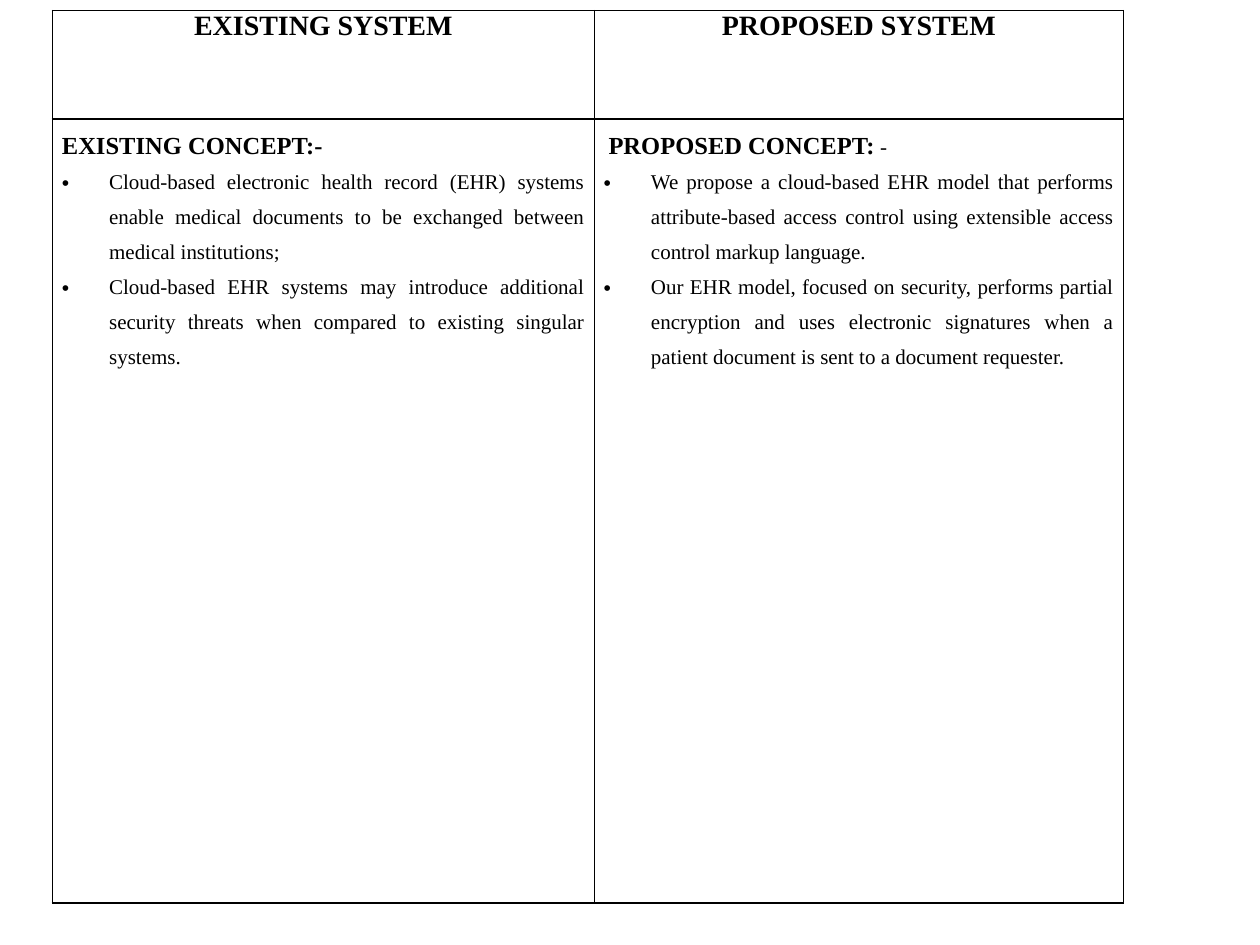
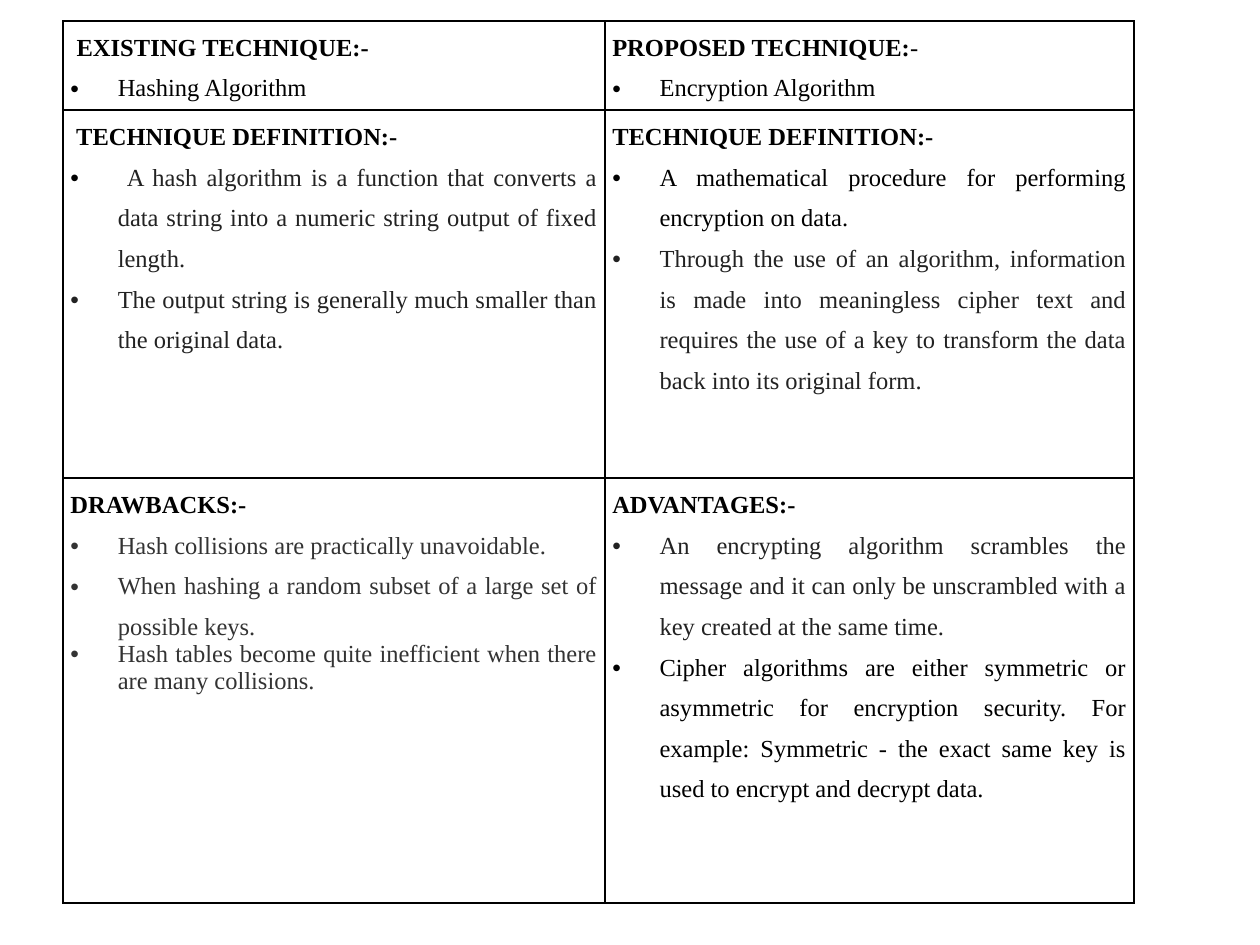
from lxml import etree
from pptx import Presentation
from pptx import util as u
from pptx.dml.color import RGBColor
from pptx.enum import text
from pptx.oxml import ns

COLORS = {
    "black": "000000",
    "charcoal": "222222",
    "gray": "333333",
    "white": "FFFFFF",
}
FONT = "Times New Roman"
COLUMN_WIDTHS = [309.6, 302.4]
BULLET_INDENT = 27

TITLE = dict(size=16, bold=True, align=text.PP_ALIGN.CENTER, spacing=1)
HEADING = dict(size=14, bold=True)
BULLET = dict(size=14, bullet=True, align=text.PP_ALIGN.JUSTIFY)
SMALL_BULLET = {**BULLET, "size": 12}
CHARCOAL_BULLET = {**BULLET, "color": "charcoal"}
GRAY_BULLET = {**BULLET, "color": "gray"}

# Each table is rows of cells, each cell a list of (text, format) paragraphs.
# A paragraph with mixed formats has a list of (text, overrides) runs as text.
CONCEPT_ROWS = [
    [
        [("EXISTING SYSTEM", TITLE)],
        [("PROPOSED SYSTEM", TITLE)],
    ],
    [
        [
            ("EXISTING CONCEPT:-", HEADING),
            ("Cloud-based electronic health record (EHR) systems enable medical "
             "documents to be exchanged between medical institutions;", SMALL_BULLET),
            ("Cloud-based EHR systems may introduce additional security threats "
             "when compared to existing singular systems.", SMALL_BULLET),
        ],
        [
            ([(" ", dict(size=11, bold=False)), ("PROPOSED CONCEPT:", {}),
              (" -", dict(size=12, bold=False))], HEADING),
            ("We propose a cloud-based EHR model that performs attribute-based "
             "access control using extensible access control markup language.",
             SMALL_BULLET),
            ("Our EHR model, focused on security, performs partial encryption and "
             "uses electronic signatures when a patient document is sent to a "
             "document requester.", SMALL_BULLET),
        ],
    ],
]

TECHNIQUE_ROWS = [
    [
        [
            (" EXISTING TECHNIQUE:-", HEADING),
            ("Hashing Algorithm", BULLET),
        ],
        [
            ([("PROPOSED TECHNIQUE:", {}), ("-", dict(bold=False))], HEADING),
            ("Encryption Algorithm", BULLET),
        ],
    ],
    [
        [
            (" TECHNIQUE DEFINITION:-", HEADING),
            ([(" ", dict(color="black")),
              ("A hash algorithm is a function that converts a data string into a "
               "numeric string output of fixed length.", {})], CHARCOAL_BULLET),
            ("The output string is generally much smaller than the original data.",
             CHARCOAL_BULLET),
        ],
        [
            ("TECHNIQUE DEFINITION:-", HEADING),
            ("A mathematical procedure for performing encryption on data.", BULLET),
            ("Through the use of an algorithm, information is made into meaningless "
             "cipher text and requires the use of a key to transform the data back "
             "into its original form.", CHARCOAL_BULLET),
        ],
    ],
    [
        [
            ("DRAWBACKS:-", HEADING),
            ("Hash collisions are practically unavoidable.", GRAY_BULLET),
            ("When hashing a random subset of a large set of possible keys.",
             GRAY_BULLET),
            ("Hash tables become quite inefficient when there are many collisions.",
             {**GRAY_BULLET, "spacing": 1}),
        ],
        [
            ("ADVANTAGES:-", HEADING),
            ("An encrypting algorithm scrambles the message and it can only be "
             "unscrambled with a key created at the same time.", CHARCOAL_BULLET),
            ("Cipher algorithms are either symmetric or asymmetric for encryption "
             "security. For example: Symmetric - the exact same key is used to "
             "encrypt and decrypt data.", BULLET),
        ],
    ],
]


def rgb(name):
    return RGBColor.from_string(COLORS[name])


def add_bullet(paragraph):
    properties = paragraph._p.get_or_add_pPr()
    properties.set("marL", str(u.Pt(BULLET_INDENT)))
    properties.set("indent", str(-u.Pt(BULLET_INDENT)))
    etree.SubElement(properties, ns.qn("a:buFont"), typeface="Arial")
    etree.SubElement(properties, ns.qn("a:buChar"), char="•")


def write_paragraph(paragraph, content, size=14, bold=False, color="black",
                    align=text.PP_ALIGN.LEFT, spacing=1.5, bullet=False):
    """Fill a paragraph from a string or a list of (text, overrides) runs."""
    if bullet:
        add_bullet(paragraph)
    paragraph.alignment = align
    paragraph.line_spacing = float(spacing)
    runs = [(content, {})] if isinstance(content, str) else content
    for words, overrides in runs:
        run = paragraph.add_run()
        run.text = words
        run.font.name = FONT
        run.font.size = u.Pt(overrides.get("size", size))
        run.font.bold = overrides.get("bold", bold)
        run.font.color.rgb = rgb(overrides.get("color", color))


def add_borders(cell):
    properties = cell._tc.get_or_add_tcPr()
    for position, side in enumerate(["lnL", "lnR", "lnT", "lnB"]):
        line = etree.Element(ns.qn(f"a:{side}"), w=str(u.Pt(1)))
        fill = etree.SubElement(line, ns.qn("a:solidFill"))
        etree.SubElement(fill, ns.qn("a:srgbClr"), val=COLORS["black"])
        properties.insert(position, line)


def fill_cell(cell, paragraphs, side_margin):
    cell.margin_left = cell.margin_right = u.Pt(side_margin)
    cell.margin_top = cell.margin_bottom = 0
    cell.fill.solid()
    cell.fill.fore_color.rgb = rgb("white")
    add_borders(cell)
    frame = cell.text_frame
    for index, (content, style) in enumerate(paragraphs):
        paragraph = frame.add_paragraph() if index else frame.paragraphs[0]
        write_paragraph(paragraph, content, **style)


def add_comparison_slide(presentation, rows, left, top, row_heights, side_margin):
    slide = presentation.slides.add_slide(presentation.slide_layouts[6])
    table = slide.shapes.add_table(
        len(rows), len(COLUMN_WIDTHS), u.Pt(left), u.Pt(top),
        u.Pt(sum(COLUMN_WIDTHS)), u.Pt(sum(row_heights))).table
    table.first_row = table.horz_banding = False
    for column, width in zip(table.columns, COLUMN_WIDTHS):
        column.width = u.Pt(width)
    for table_row, height, cells in zip(table.rows, row_heights, rows):
        table_row.height = u.Pt(height)
        for cell, paragraphs in zip(table_row.cells, cells):
            fill_cell(cell, paragraphs, side_margin)


def main():
    presentation = Presentation()
    presentation.slide_width = u.Pt(720)
    presentation.slide_height = u.Pt(540)
    add_comparison_slide(presentation, CONCEPT_ROWS, left=30, top=6,
                         row_heights=[62, 448], side_margin=5.4)
    add_comparison_slide(presentation, TECHNIQUE_ROWS, left=36, top=12,
                         row_heights=[51, 210.3, 242.7], side_margin=4.3)
    presentation.save("out.pptx")


if __name__ == "__main__":
    main()
